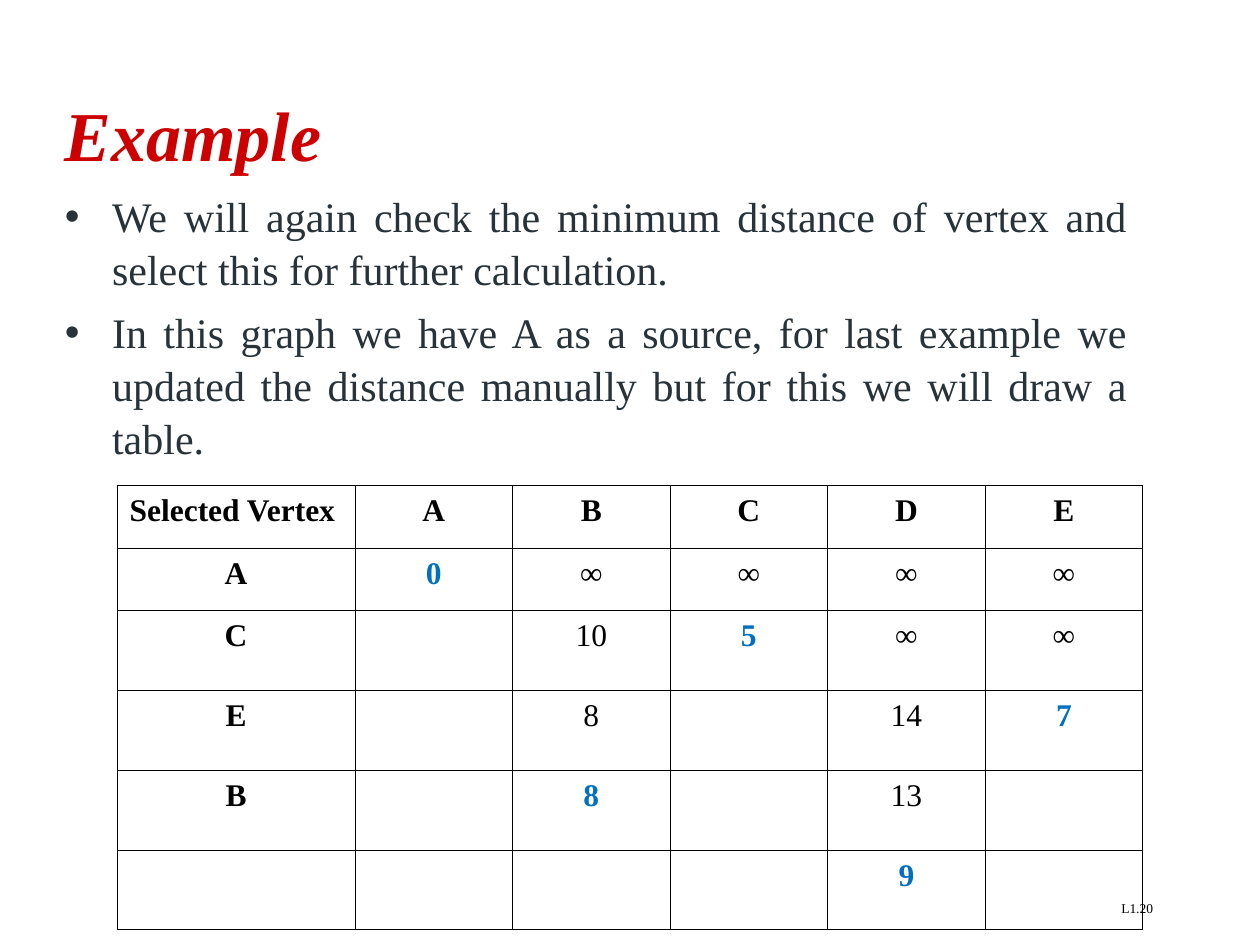
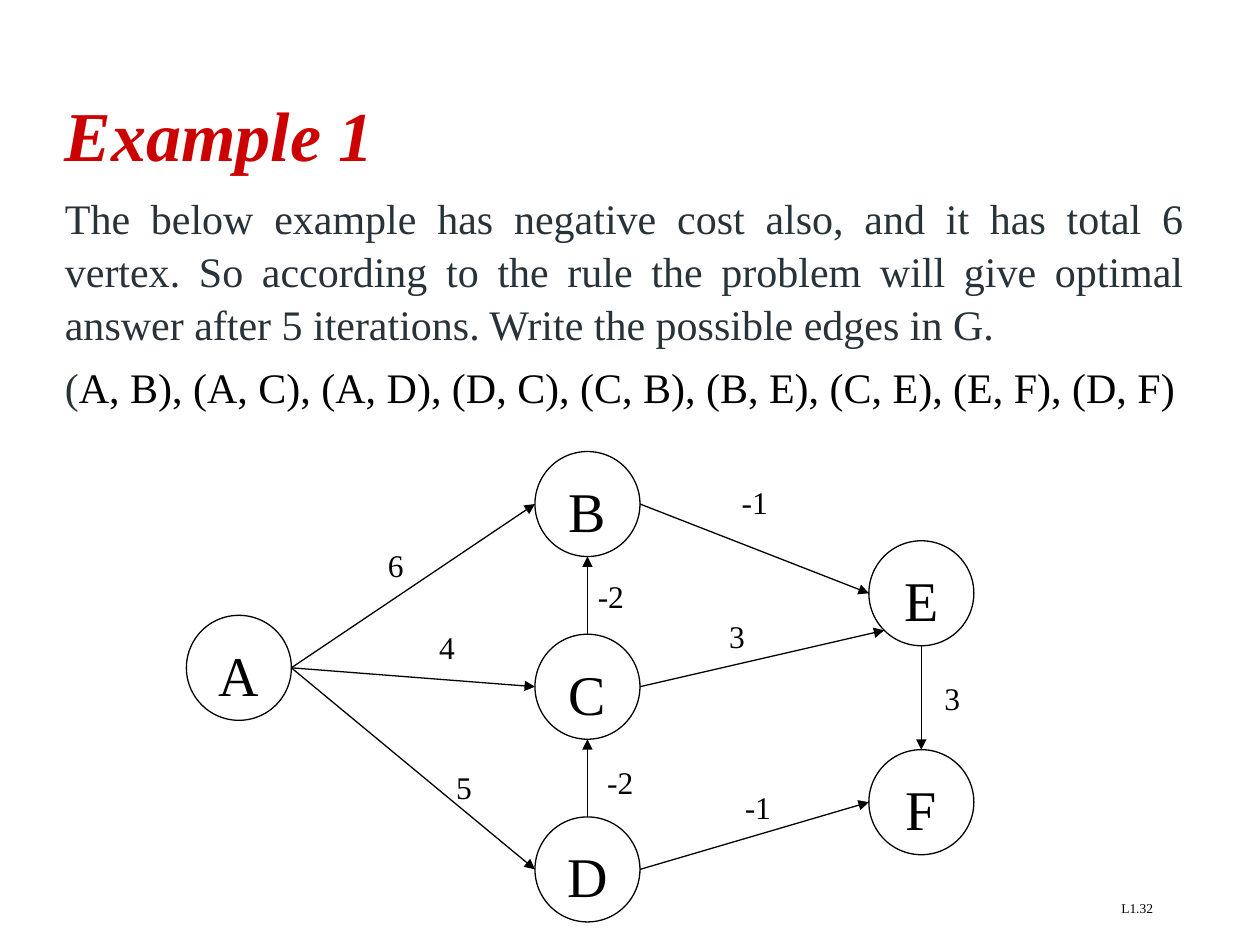
import math
from dataclasses import dataclass

import pptx
import pptx.dml.color
import pptx.enum.shapes
import pptx.enum.text
import pptx.oxml
import pptx.oxml.ns
import pptx.util

ALIGN = pptx.enum.text.PP_ALIGN
ANCHOR = pptx.enum.text.MSO_ANCHOR
COLUMNS, ROWS = 24, 18
CELL = pptx.util.Inches(10) / COLUMNS  # the grid cells are square


@dataclass(frozen=True)
class Theme:
    font: str = "Times New Roman"
    title: str = "CC0000"
    body: str = "273239"
    ink: str = "000000"
    chosen: str = "0070C0"
    title_size: float = 40
    node_size: float = 32
    body_size: float = 24
    small_size: float = 18
    footer_size: float = 7.7
    leading: float = 1.05
    paragraph_gap: float = 6
    line_width: float = 0.75
    border_width: float = 0.45
    bullet_indent: float = 0.9


THEME = Theme()


@dataclass(frozen=True)
class Box:
    """A region in grid columns and rows."""
    left: float
    top: float
    width: float
    height: float

    def emu(self):
        return [round(v * CELL) for v in (self.left, self.top, self.width, self.height)]


TITLE = Box(1, 1, 22.4, 3)
FOOTER = Box(17.2, 17, 5, 0.6)


def rgb(value):
    return pptx.dml.color.RGBColor.from_string(value)


def add_xml(parent, xml, index=None):
    element = pptx.oxml.parse_xml(
        xml.replace(" ", f" {pptx.oxml.ns.nsdecls('a')} ", 1))
    parent.insert(len(parent) if index is None else index, element)


def write(paragraph, text, size, color=THEME.ink, bold=False, italic=False, align=ALIGN.LEFT):
    paragraph.alignment = align
    paragraph.line_spacing = THEME.leading
    font_run = paragraph.add_run()
    font_run.text = text
    font = font_run.font
    font.name, font.size = THEME.font, pptx.util.Pt(size)
    font.bold, font.italic = bold, italic
    font.color.rgb = rgb(color)


def text_frame(slide, box, anchor=ANCHOR.TOP):
    frame = slide.shapes.add_textbox(*box.emu()).text_frame
    frame.word_wrap = True
    frame.vertical_anchor = anchor
    return frame


def new_slide(deck, heading, number):
    slide = deck.slides.add_slide(deck.slide_layouts[6])
    write(text_frame(slide, TITLE, ANCHOR.MIDDLE).paragraphs[0], heading,
          THEME.title_size, THEME.title, bold=True, italic=True)
    write(text_frame(slide, FOOTER).paragraphs[0], number,
          THEME.footer_size, align=ALIGN.RIGHT)
    return slide


def add_body(slide, box, paragraphs, bulleted=False):
    """Each paragraph is a list of (text, colour) runs."""
    frame = text_frame(slide, box)
    for index, runs in enumerate(paragraphs):
        paragraph = frame.add_paragraph() if index else frame.paragraphs[0]
        if bulleted:
            properties = paragraph._p.get_or_add_pPr()
            indent = round(THEME.bullet_indent * CELL)
            properties.set("marL", str(indent))
            properties.set("indent", str(-indent))
            add_xml(properties, f'<a:buClr ><a:srgbClr val="{THEME.body}"/></a:buClr>')
            add_xml(properties, '<a:buFont typeface="Arial"/>')
            add_xml(properties, '<a:buChar char="•"/>')
        if index:
            paragraph.space_before = pptx.util.Pt(THEME.paragraph_gap)
        for text, color in runs:
            write(paragraph, text, THEME.body_size, color, align=ALIGN.JUSTIFY)


def add_borders(cell):
    properties = cell._tc.get_or_add_tcPr()
    width = pptx.util.Pt(THEME.border_width)
    for index, side in enumerate("LRTB"):
        add_xml(properties,
                f'<a:ln{side} w="{width}"><a:solidFill><a:srgbClr val="{THEME.ink}"/>'
                f'</a:solidFill></a:ln{side}>', index)


def add_distance_table(slide, box, rows, chosen, column_shares, row_shares):
    """Draw the distances; chosen holds the (row, column) of each selected minimum."""
    table = slide.shapes.add_table(len(rows), len(rows[0]), *box.emu()).table
    for column, share in zip(table.columns, column_shares):
        column.width = round(share * box.width * CELL / sum(column_shares))
    for row, share in zip(table.rows, row_shares):
        row.height = round(share * box.height * CELL / sum(row_shares))
    for r, values in enumerate(rows):
        for c, value in enumerate(values):
            cell = table.cell(r, c)
            cell.fill.background()
            add_borders(cell)
            paragraph = cell.text_frame.paragraphs[0]
            if not value:
                paragraph.font.size = pptx.util.Pt(THEME.small_size)
                continue
            picked = (r, c) in chosen
            write(paragraph, value, THEME.small_size,
                  THEME.chosen if picked else THEME.ink,
                  bold=picked or r == 0 or c == 0,
                  align=ALIGN.LEFT if r == c == 0 else ALIGN.CENTER)


def add_node(slide, name, box):
    node = slide.shapes.add_shape(pptx.enum.shapes.MSO_SHAPE.OVAL, *box.emu())
    node.shadow.inherit = False
    node.fill.background()
    node.line.color.rgb = rgb(THEME.ink)
    node.line.width = pptx.util.Pt(THEME.line_width)
    node.text_frame.vertical_anchor = ANCHOR.TOP
    write(node.text_frame.paragraphs[0], name, THEME.node_size, align=ALIGN.CENTER)


def add_arrow(slide, start, end):
    points = [round(v * CELL) for v in (*start, *end)]
    arrow = slide.shapes.add_connector(pptx.enum.shapes.MSO_CONNECTOR.STRAIGHT, *points)
    arrow.line.color.rgb = rgb(THEME.ink)
    arrow.line.width = pptx.util.Pt(THEME.line_width)
    add_xml(arrow.line._get_or_add_ln(), '<a:tailEnd type="triangle"/>')
    add_xml(arrow._element.spPr, '<a:effectLst />')


def add_graph(slide, box, span, nodes, edges):
    """Place node centres and weight labels in units of one node diameter."""
    unit = box.width / span

    def place(x, y):
        return box.left + x * unit, box.top + y * unit

    def rim(name, degrees):
        x, y = nodes[name]
        angle = math.radians(degrees)
        return place(x + math.cos(angle) / 2, y + math.sin(angle) / 2)

    for name, (x, y) in nodes.items():
        add_node(slide, name, Box(*place(x - 0.5, y - 0.5), unit, unit))
    for source, leave, target, arrive, weight, label in edges:
        add_arrow(slide, rim(source, leave), rim(target, arrive))
        frame = text_frame(slide, Box(*place(*label), unit / 2 + 0.05, unit / 2))
        write(frame.paragraphs[0], weight, THEME.small_size)


def table_slide(deck):
    slide = new_slide(deck, "Example", "L1.20")
    points = [
        "We will again check the minimum distance of vertex and select this for "
        "further calculation.",
        "In this graph we have A as a source, for last example we updated the "
        "distance manually but for this we will draw a table.",
    ]
    add_body(slide, Box(1, 3.46, 20.71, 5.26),
             [[(point, THEME.body)] for point in points], bulleted=True)
    distances = [
        ["Selected Vertex", "A", "B", "C", "D", "E"],
        ["A", "0", "∞", "∞", "∞", "∞"],
        ["C", "", "10", "5", "∞", "∞"],
        ["E", "", "8", "", "14", "7"],
        ["B", "", "8", "", "13", ""],
        ["", "", "", "", "9", ""],
    ]
    add_distance_table(slide, Box(2.23, 9.24, 19.54, 8.47), distances,
                       chosen={(1, 1), (2, 3), (3, 5), (4, 2), (5, 4)},
                       column_shares=[1.51] + [1] * 5,
                       row_shares=[1] * 2 + [1.27] * 4)


def graph_slide(deck):
    slide = new_slide(deck, "Example 1", "L1.32")
    task = ("The below example has negative cost also, and it has total 6 vertex. "
            "So according to the rule the problem will give optimal answer after "
            "5 iterations. Write the possible edges in G.")
    pairs = "A, B), (A, C), (A, D), (D, C), (C, B), (B, E), (C, E), (E, F), (D, F)"
    add_body(slide, Box(1, 3.5, 21.79, 4.3),
             [[(task, THEME.body)], [("(", THEME.body), (pairs, THEME.ink)]])
    nodes = {"A": (0.5, 2.06), "B": (3.82, 0.5), "C": (3.82, 2.24),
             "D": (3.82, 3.98), "E": (7, 1.35), "F": (7, 3.34)}
    right, down, lower_left, left, up = 0, 90, 135, 180, 270
    edges = [
        ("A", right, "B", left, "6", (1.8, 0.82)),
        ("A", right, "C", left, "4", (2.29, 1.6)),
        ("A", right, "D", left, "5", (2.45, 2.94)),
        ("D", up, "C", down, "-2", (3.89, 2.89)),
        ("C", up, "B", down, "-2", (3.8, 1.12)),
        ("B", right, "E", left, "-1", (5.17, 0.22)),
        ("D", right, "F", left, "-1", (5.2, 3.13)),
        ("C", right, "E", lower_left, "3", (5.05, 1.5)),
        ("E", down, "F", up, "3", (7.1, 2.09)),
    ]
    add_graph(slide, Box(3.55, 8.6, 15, 9), 7.5, nodes, edges)


def main():
    deck = pptx.Presentation()
    deck.slide_width = round(COLUMNS * CELL)
    deck.slide_height = round(ROWS * CELL)
    table_slide(deck)
    graph_slide(deck)
    deck.save("out.pptx")


if __name__ == "__main__":
    main()
